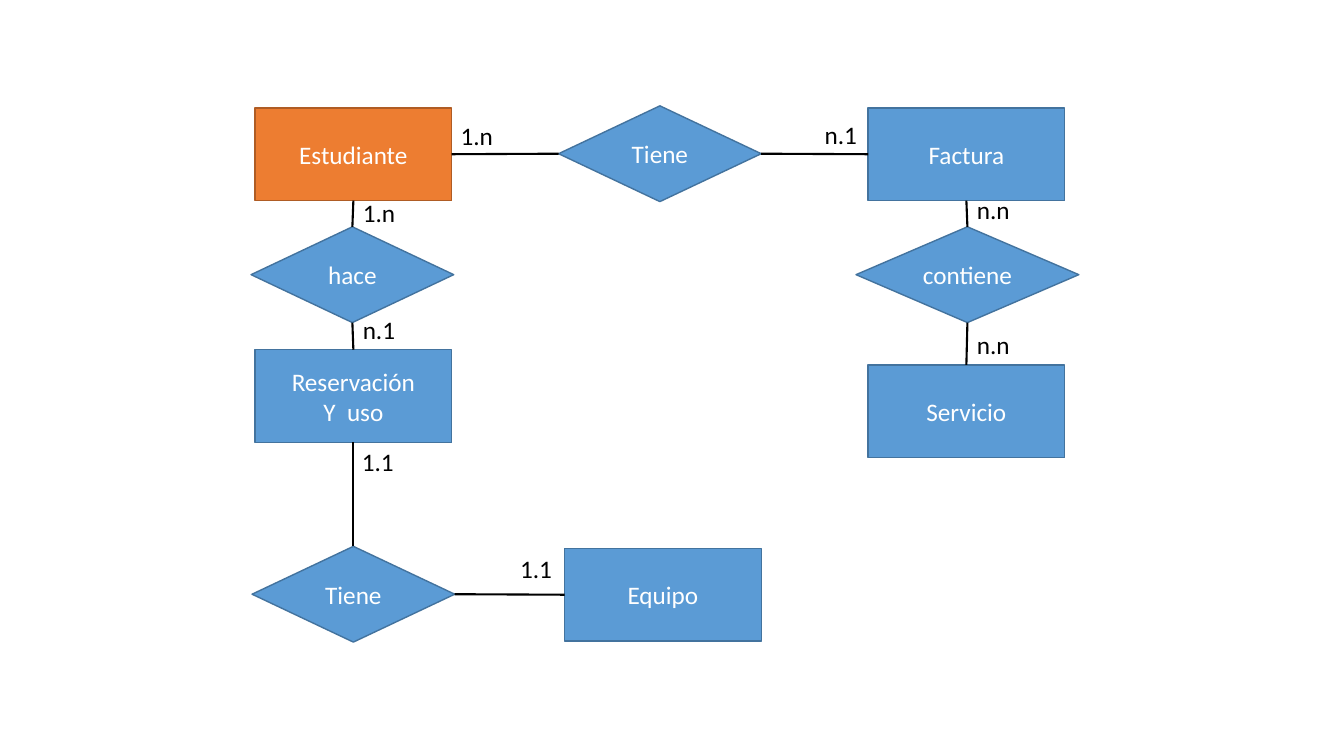
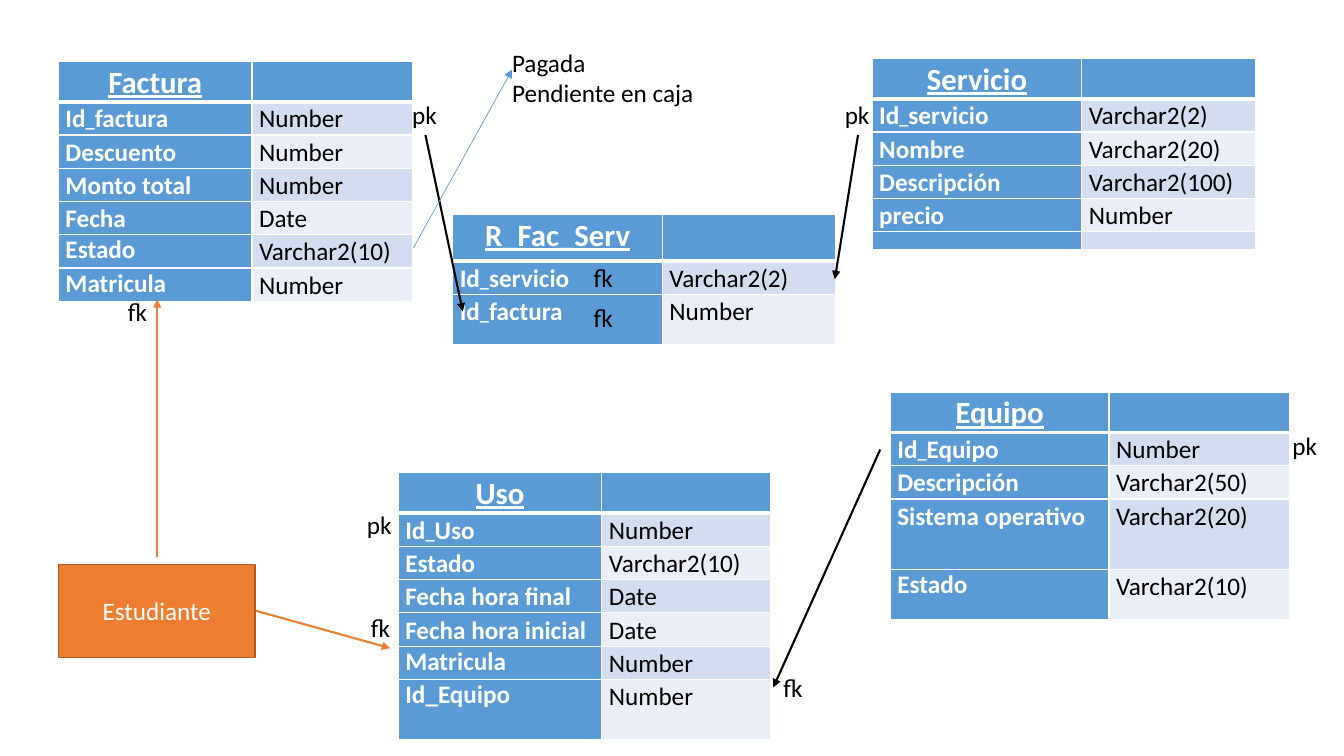
from dataclasses import dataclass

import pptx
import pptx.dml.color
import pptx.enum.shapes
import pptx.enum.text
import pptx.oxml
import pptx.oxml.ns
import pptx.util

Inches = pptx.util.Inches
Pt = pptx.util.Pt
SHAPE = pptx.enum.shapes.MSO_SHAPE
ALIGN = pptx.enum.text.PP_ALIGN
ANCHOR = pptx.enum.text.MSO_ANCHOR
TOP, LEFT, BOTTOM, RIGHT = range(4)  # connection sites


@dataclass(frozen=True)
class Theme:
    """Colours, font and sizes shared by the slides."""
    font: str = "Calibri"
    blue: str = "5B9BD5"
    blue_edge: str = "43739E"
    orange: str = "ED7D31"
    orange_edge: str = "AF5C24"
    black: str = "000000"
    white: str = "FFFFFF"
    bands: tuple = ("D2DEEF", "EAEFF7")
    body: int = 18
    heading: int = 22
    underscore: int = 13
    empty: int = 10
    cell_spacing: float = 1.07
    header_h: float = 0.4
    row_h: float = 0.33
    entity: tuple = (1.95, 0.92)
    relation: tuple = (2.01, 0.95)


def rgb(color):
    """Turn a hex string into a colour."""
    return pptx.dml.color.RGBColor.from_string(color)


def element(xml):
    """Parse a fragment in the drawing namespace."""
    return pptx.oxml.parse_xml(xml.replace(">", " " + pptx.oxml.ns.nsdecls("a") + ">", 1))


class Deck:
    """Holds the presentation, the style and the current slide."""

    def __init__(self, theme):
        """Start an empty widescreen presentation."""
        self.theme = theme
        self.prs = pptx.Presentation()
        self.prs.slide_width = Inches(13.33)
        self.prs.slide_height = Inches(7.5)
        self.s = None

    def new_slide(self):
        """Add a blank slide and make it current."""
        self.s = self.prs.slides.add_slide(self.prs.slide_layouts[6])

    def add_run(self, p, text, color, size=None, bold=False, underline=False):
        """Add one formatted run to a paragraph."""
        r = p.add_run()
        r.text = text
        r.font.name = self.theme.font
        r.font.size = Pt(size or self.theme.body)
        r.font.color.rgb = rgb(color)
        r.font.bold = bold
        r.font.underline = underline

    def add_lines(self, tf, text, color, align):
        """Write each line of text as a paragraph."""
        for i, line in enumerate(text.split("\n")):
            p = tf.add_paragraph() if i else tf.paragraphs[0]
            p.alignment = align
            self.add_run(p, line, color)

    def node(self, kind, text, x, y, size, fill, edge):
        """Add a filled flowchart shape with centred text."""
        sp = self.s.shapes.add_shape(kind, Inches(x), Inches(y), Inches(size[0]), Inches(size[1]))
        sp.shadow.inherit = False
        sp.fill.solid()
        sp.fill.fore_color.rgb = rgb(fill)
        sp.line.color.rgb = rgb(edge)
        sp.line.width = Pt(1)
        sp.text_frame.word_wrap = True
        sp.text_frame.vertical_anchor = ANCHOR.MIDDLE
        self.add_lines(sp.text_frame, text, self.theme.white, ALIGN.CENTER)
        return sp

    def entity(self, text, x, y):
        """Add a blue entity box."""
        t = self.theme
        return self.node(SHAPE.FLOWCHART_PROCESS, text, x, y, t.entity, t.blue, t.blue_edge)

    def student(self, x, y):
        """Add the highlighted student entity."""
        t = self.theme
        return self.node(SHAPE.FLOWCHART_PROCESS, "Estudiante", x, y, t.entity,
                         t.orange, t.orange_edge)

    def relation(self, text, x, y, size=None):
        """Add a relationship diamond."""
        t = self.theme
        return self.node(SHAPE.FLOWCHART_DECISION, text, x, y, size or t.relation,
                         t.blue, t.blue_edge)

    def line(self, start=(0, 0), end=(0, 0), color=None, width=1.5):
        """Add a straight line without a shadow."""
        c = self.s.shapes.add_connector(pptx.enum.shapes.MSO_CONNECTOR.STRAIGHT,
                                        *(Inches(v) for v in (*start, *end)))
        c.line.color.rgb = rgb(color or self.theme.black)
        c.line.width = Pt(width)
        c._element.spPr.append(element("<a:effectLst></a:effectLst>"))
        return c

    def link(self, a, a_site, b, b_site):
        """Join two nodes at their connection sites."""
        c = self.line()
        c.begin_connect(a, a_site)
        c.end_connect(b, b_site)

    def arrow(self, start, end, color=None, width=1.5):
        """Add a line with an arrowhead at its end."""
        c = self.line(start, end, color, width)
        c.line._get_or_add_ln().append(element('<a:tailEnd type="triangle"></a:tailEnd>'))

    def label(self, text, x, y, w, h=0.4):
        """Add an unwrapped text label."""
        sp = self.s.shapes.add_textbox(Inches(x), Inches(y), Inches(w), Inches(h))
        tf = sp.text_frame
        tf.word_wrap = False
        tf.auto_size = pptx.enum.text.MSO_AUTO_SIZE.SHAPE_TO_FIT_TEXT
        self.add_lines(tf, text, self.theme.black, ALIGN.LEFT)

    def style_cell(self, cell, fill, top=1, bottom=1):
        """Set fill, margins and white borders; return the paragraph."""
        cell.margin_left = cell.margin_right = Inches(0.07)
        cell.margin_top = cell.margin_bottom = 0
        tc_pr = cell._tc.get_or_add_tcPr()
        for side, width in (("L", 1), ("R", 1), ("T", top), ("B", bottom)):
            tc_pr.append(element(
                f'<a:ln{side} w="{Pt(width)}"><a:solidFill><a:srgbClr val="{self.theme.white}"/>'
                f'</a:solidFill></a:ln{side}>'))
        cell.fill.solid()
        cell.fill.fore_color.rgb = rgb(fill)
        p = cell.text_frame.paragraphs[0]
        p.line_spacing = self.theme.cell_spacing
        return p

    def entity_table(self, title, x, y, widths, fields, heights=None, single=0):
        """Add a table of fields; the last `single` names are single spaced.

        `heights` maps a row number to a height other than the usual one.
        """
        t = self.theme
        row_heights = [t.header_h] + [t.row_h] * len(fields)
        for row, height in (heights or {}).items():
            row_heights[row] = height
        table = self.s.shapes.add_table(len(row_heights), 2, Inches(x), Inches(y),
                                        Inches(sum(widths)), Inches(sum(row_heights))).table
        table.first_row = table.horz_banding = False
        for col, width in zip(table.columns, widths):
            col.width = Inches(width)
        for row, height in zip(table.rows, row_heights):
            row.height = Inches(height)

        p = self.style_cell(table.cell(0, 0), t.blue, bottom=3)
        p.alignment = ALIGN.CENTER
        self.add_run(p, title, t.white, t.heading, bold=True, underline=True)
        self.style_cell(table.cell(0, 1), t.blue, bottom=3)
        for i, (name, kind) in enumerate(fields, 1):
            top = 3 if i == 1 else 1
            name_p = self.style_cell(table.cell(i, 0), t.blue, top)
            kind_p = self.style_cell(table.cell(i, 1), t.bands[(i - 1) % 2], top)
            if not name:
                for p in (name_p, kind_p):
                    p._p.get_or_add_endParaRPr().set("sz", str(t.empty * 100))
                continue
            if i > len(fields) - single:
                name_p.line_spacing = 1.0
                self.add_run(name_p, name, t.white, bold=True)
            else:
                for part in name.replace("_", " _ ").split(" ") if "_" in name else [name]:
                    size = t.underscore if part == "_" else t.body
                    self.add_run(name_p, part, t.white, size, bold=True)
            self.add_run(kind_p, kind, t.black)


def build_relations(deck):
    """Entity-relationship diagram."""
    deck.new_slide()
    student = deck.student(2.53, 1.07)
    has_bill = deck.relation("Tiene", 5.54, 1.05)
    bill = deck.entity("Factura", 8.61, 1.07)
    booking = deck.entity("Reservación\nY  uso", 2.53, 3.47)
    makes = deck.relation("hace", 2.49, 2.25)
    service = deck.entity("Servicio", 8.61, 3.62)
    contains = deck.relation("contiene", 8.49, 2.25, (2.21, 0.95))
    device = deck.entity("Equipo", 5.6, 5.44)
    has_device = deck.relation("Tiene", 2.5, 5.42)
    for ends in ((student, BOTTOM, makes, TOP), (makes, BOTTOM, booking, TOP),
                 (has_bill, LEFT, student, RIGHT), (bill, LEFT, has_bill, RIGHT),
                 (service, TOP, contains, BOTTOM), (contains, TOP, bill, BOTTOM),
                 (booking, BOTTOM, has_device, TOP), (device, LEFT, has_device, RIGHT)):
        deck.link(*ends)
    for text, x, y in (("n.n", 9.59, 3.22), ("n.n", 9.59, 1.88), ("n.1", 8.08, 1.13),
                       ("1.n", 4.47, 1.14), ("n.1", 3.5, 3.07), ("1.n", 3.5, 1.91),
                       ("1.1", 3.49, 4.38), ("1.1", 5.06, 5.44)):
        deck.label(text, x, y, 0.53)


def build_tables(deck):
    """Tables with their keys and references."""
    t = deck.theme
    deck.new_slide()
    deck.entity_table("Factura", 0.58, 0.61, (1.92, 1.59), [
        ("Id_factura", "Number"), ("Descuento", "Number"), ("Monto total", "Number"),
        ("Fecha", "Date"), ("Estado", "Varchar2(10)"), ("Matricula", "Number")], single=2)
    deck.entity_table("Uso", 3.95, 4.69, (2.02, 1.67), [
        ("Id_Uso", "Number"), ("Estado", "Varchar2(10)"), ("Fecha hora final", "Date"),
        ("Fecha hora inicial", "Date"), ("Matricula", "Number"), ("Id_Equipo", "Number")],
        heights={6: 0.6}, single=2)
    deck.entity_table("Servicio", 8.65, 0.58, (2.08, 1.72), [
        ("Id_servicio", "Varchar2(2)"), ("Nombre", "Varchar2(20)"),
        ("Descripción", "Varchar2(100)"), ("precio", "Number"), ("", "")],
        heights={5: 0.18})
    deck.entity_table("R_Fac_Serv", 4.49, 2.13, (2.08, 1.72), [
        ("Id_servicio", "Varchar2(2)"), ("Id_factura", "Number")],
        heights={0: 0.46, 2: 0.5})
    deck.entity_table("Equipo", 8.83, 3.89, (2.17, 1.79), [
        ("Id_Equipo", "Number"), ("Descripción", "Varchar2(50)"),
        ("Sistema operativo", "Varchar2(20)"), ("Estado", "Varchar2(10)")],
        heights={3: 0.7, 4: 0.5}, single=1)
    deck.student(0.58, 5.6)

    deck.arrow((4.22, 1.34), (4.59, 3.09))
    deck.arrow((8.51, 1.34), (8.28, 2.77))
    deck.arrow((8.73, 4.46), (7.67, 6.82))
    deck.arrow((2.54, 6.06), (3.87, 6.43), t.orange)
    deck.arrow((1.56, 5.53), (1.56, 2.97), t.orange)
    deck.arrow((4.1, 2.46), (5.08, 0.69), t.blue, 0.5)

    for x, y in ((3.99, 0.94), (8.28, 0.94), (12.72, 4.22), (3.54, 5)):
        deck.label("pk", x, y, 0.45)
    for x, y in ((5.79, 2.95), (5.79, 2.55), (3.58, 6.03), (1.17, 2.89), (7.67, 6.62)):
        deck.label("fk", x, y, 0.39)
    deck.label("Pagada\nPendiente en caja", 4.98, 0.42, 2.02, 0.71)


deck = Deck(Theme())
build_relations(deck)
build_tables(deck)
deck.prs.save("out.pptx")
